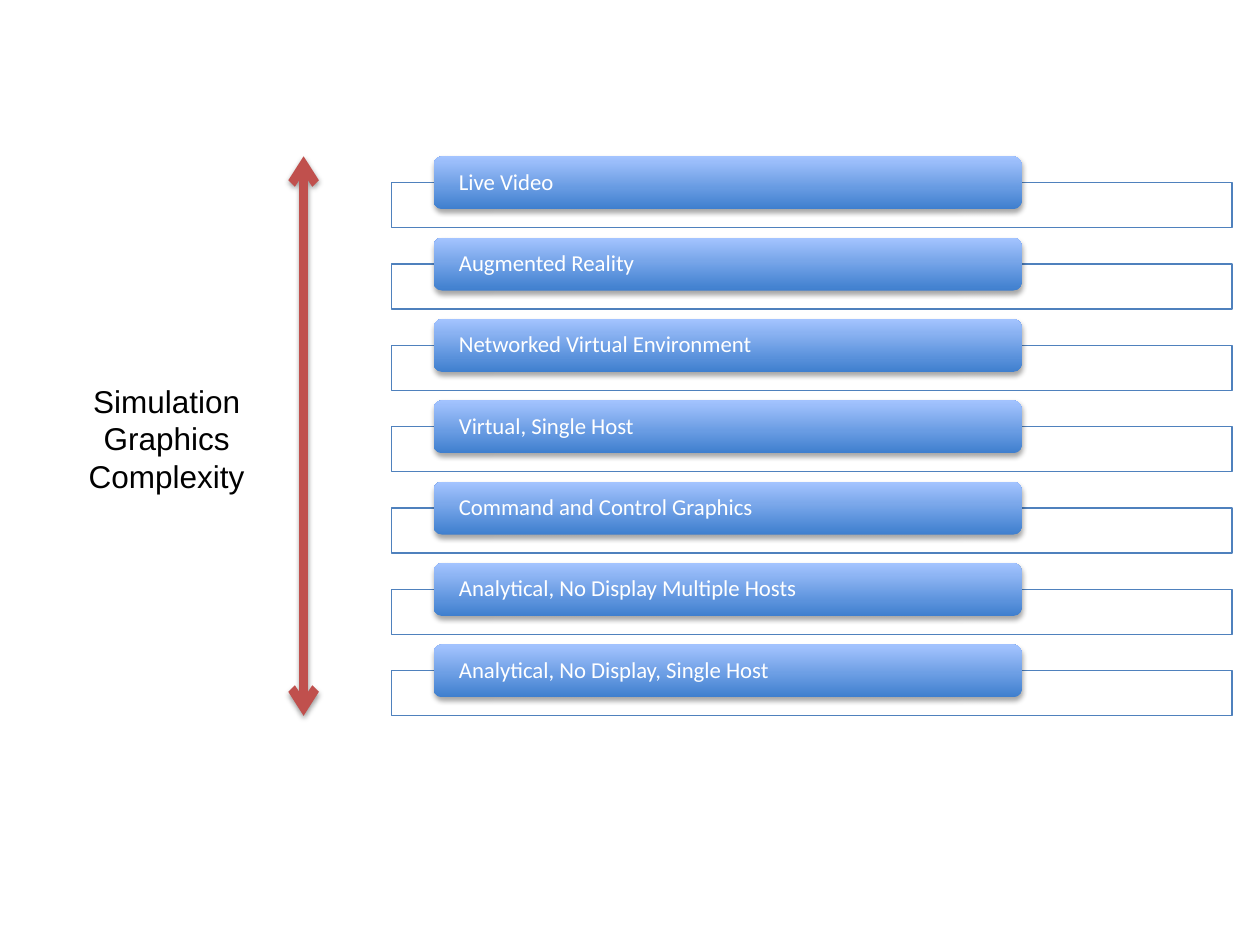
from pptx import Presentation
from pptx.dml.color import RGBColor
from pptx.enum.shapes import MSO_CONNECTOR as Link, MSO_SHAPE as Form
from pptx.enum.text import MSO_ANCHOR as Anchor, MSO_AUTO_SIZE as Fit, PP_ALIGN as Align
from pptx.oxml import parse_xml
from pptx.oxml.ns import nsdecls
from pptx.util import Cm, Pt


def tint(code):
    return RGBColor.from_string(code)


def node(body):
    tag, rest = body.split(" ", 1)
    return parse_xml(f"<a:{tag} {nsdecls('a')} {rest}")


def apply(item, form):
    for key, value in form.items():
        setattr(item, key, value)


class Sketch:
    """Draws styled elements on the current slide."""

    blue, red, white, black = "4F81BD", "C0504D", "FFFFFF", "000000"
    shades = ("3F7FCE", "A4C4FF")
    label = {"name": "Calibri", "size": Pt(13)}
    note = {"name": "Arial", "size": Pt(18)}

    def __init__(self, slide):
        self.slide, self.shapes = slide, slide.shapes

    def shade(self, shape, alpha, dist):
        shape._element.spPr.append(node(
            f'effectLst ><a:outerShdw blurRad="{Pt(3.1)}" dist="{Pt(dist)}" '
            f'dir="5400000" rotWithShape="0"><a:srgbClr val="{self.black}">'
            f'<a:alpha val="{alpha * 1000}"/></a:srgbClr></a:outerShdw></a:effectLst>'))

    def letter(self, shape, text, font, color, frame, para):
        apply(shape.text_frame, {"word_wrap": True, **frame})
        line = shape.text_frame.paragraphs[0]
        apply(line, para)
        run = line.add_run()
        run.text = text
        apply(run.font, font)
        run.font.color.rgb = tint(color)

    def frame(self, *box):
        shape = self.shapes.add_shape(Form.RECTANGLE, *map(Cm, box))
        shape.shadow.inherit = False
        shape.fill.solid()
        shape.fill.fore_color.rgb = tint(self.white)
        color = shape._element.spPr.find(".//{*}srgbClr")
        color.append(node('alpha val="90000"/>'))
        shape.line.color.rgb = tint(self.blue)
        shape.line.width = Pt(0.75)

    def bar(self, text, *box):
        shape = self.shapes.add_shape(Form.ROUNDED_RECTANGLE, *map(Cm, box))
        shape.fill.gradient()
        shape.fill.gradient_angle = 90
        for stop, code in zip(shape.fill.gradient_stops, self.shades):
            stop.color.rgb = tint(code)
        shape.line.fill.background()
        self.shade(shape, 35, 1.8)
        frame = {"vertical_anchor": Anchor.MIDDLE, "margin_left": Cm(0.46),
                 "margin_right": Cm(0.46), "margin_top": 0, "margin_bottom": 0}
        para = {"alignment": Align.LEFT, "line_spacing": 0.9}
        self.letter(shape, text, self.label, self.white, frame, para)

    def text(self, text, *box):
        shape = self.shapes.add_textbox(*map(Cm, box))
        self.letter(shape, text, self.note, self.black,
                    {"auto_size": Fit.SHAPE_TO_FIT_TEXT}, {"alignment": Align.CENTER})

    def arrow(self, *ends):
        link = self.shapes.add_connector(Link.STRAIGHT, *map(Cm, ends))
        link.line.color.rgb = tint(self.red)
        link.line.width = Pt(5)
        edge = link._element.spPr.find("{*}ln")
        for end in ("headEnd", "tailEnd"):
            edge.append(node(f'{end} type="arrow"/>'))
        self.shade(link, 38, 1.6)


LEVELS = ("Live Video", "Augmented Reality", "Networked Virtual Environment",
          "Virtual, Single Host", "Command and Control Graphics",
          "Analytical, No Display Multiple Hosts", "Analytical, No Display, Single Host")
TOP, STEP = 3.15, 1.64

deck = Presentation()
apply(deck, {"slide_width": Cm(25.4), "slide_height": Cm(19.05)})
page = Sketch(deck.slides.add_slide(deck.slide_layouts[6]))
for row, level in enumerate(LEVELS):
    top = TOP + row * STEP
    page.frame(7.9, top + 0.53, 16.94, 0.91)
    page.bar(level, 8.74, top, 11.86, 1.07)
page.text("Simulation Graphics Complexity", 1.19, 7.57, 4.34, 2.57)
page.arrow(6.12, 14.43, 6.12, TOP)
deck.save("out.pptx")
